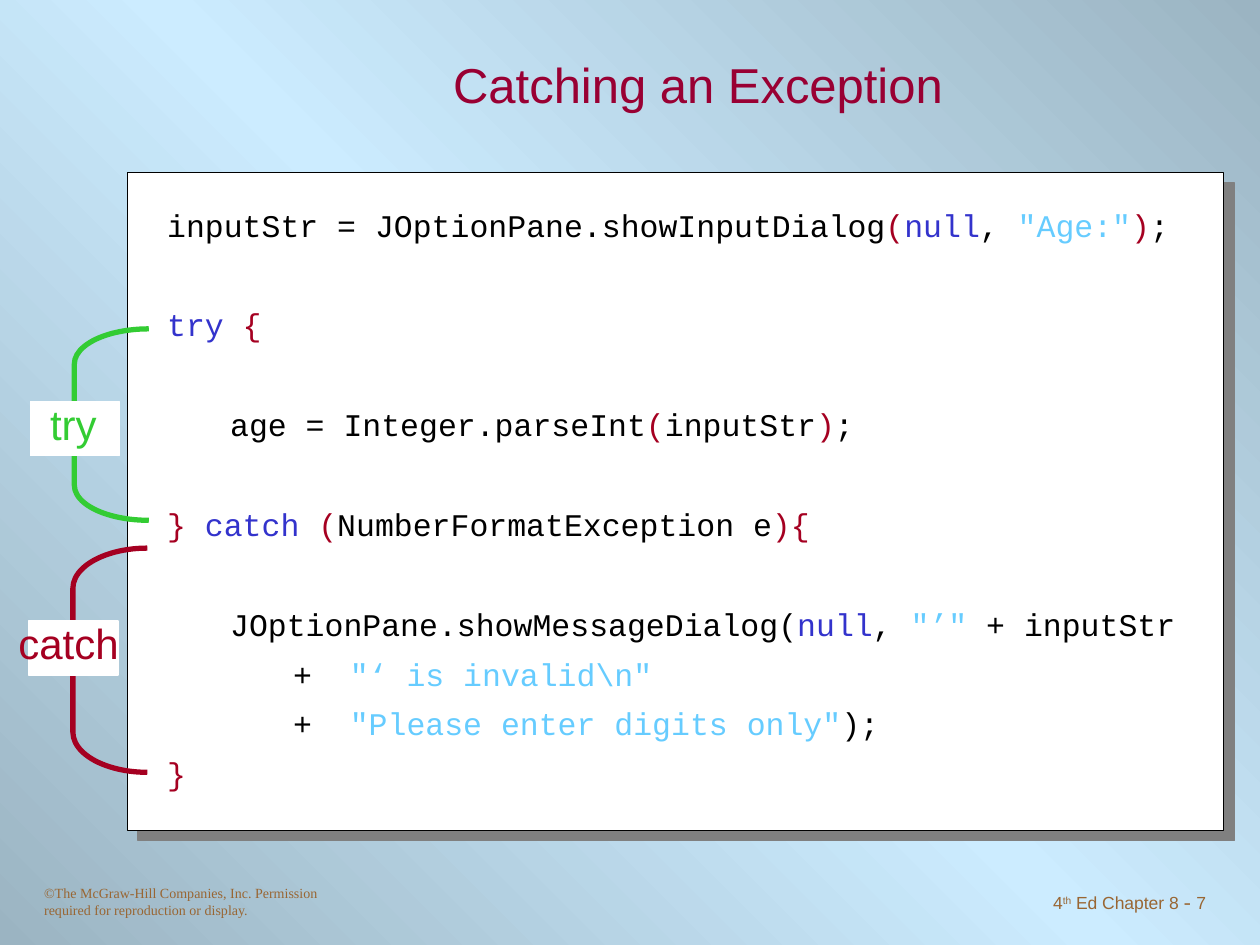
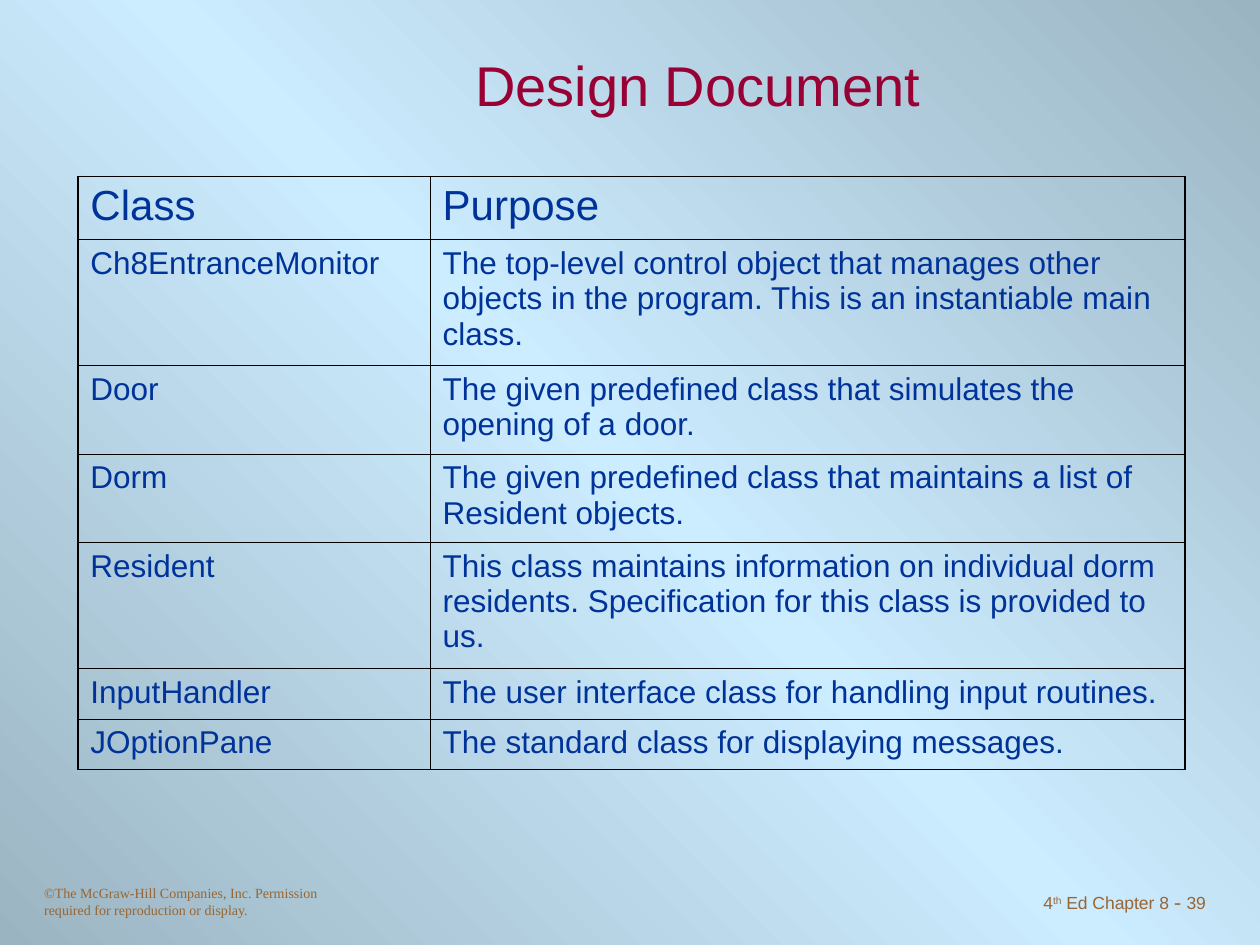
import copy

import pptx
import pptx.dml.color
import pptx.enum.shapes
import pptx.enum.text
import pptx.oxml
import pptx.oxml.ns
import pptx.util
from lxml import etree

Cm = pptx.util.Cm
Pt = pptx.util.Pt
qn = pptx.oxml.ns.qn
ALIGN = pptx.enum.text.PP_ALIGN
SHAPE = pptx.enum.shapes.MSO_SHAPE

COLORS = {
    "edge": "9BB4C2",
    "glow": "CCECFF",
    "title": "990033",
    "footer": "996633",
    "plain": "000000",
    "bracket": "A50021",
    "keyword": "3333CC",
    "string": "66CCFF",
    "try": "33CC33",
    "catch": "A50021",
    "cell": "003399",
    "panel": "FFFFFF",
    "shadow": "808080",
}

CODE = [
    (0, 1, [("inputStr = JOptionPane.showInputDialog", "plain"), ("(", "bracket"),
            ("null", "keyword"), (", ", "plain"), ('"Age:"', "string"),
            (")", "bracket"), (";", "plain")]),
    (0, 2, [("try ", "keyword"), ("{", "bracket")]),
    (1, 2, [("age = Integer.parseInt", "plain"), ("(", "bracket"),
            ("inputStr", "plain"), (")", "bracket"), (";", "plain")]),
    (0, 2, [("} ", "bracket"), ("catch ", "keyword"), ("(", "bracket"),
            ("NumberFormatException e", "plain"), ("){", "bracket")]),
    (1, 2, [("JOptionPane.showMessageDialog(", "plain"), ("null", "keyword"),
            (", ", "plain"), ('"’"', "string"), (" + inputStr", "plain")]),
    (2, 1, [("+  ", "plain"), ('"‘ is invalid\\n"', "string")]),
    (2, 1, [("+  ", "plain"), ('"Please enter digits only"', "string"), (");", "plain")]),
    (0, 1, [("}", "bracket")]),
]
LINE_PITCH = 28.57
LINE_HEIGHT = 17.4

CLASSES = [
    ("Class", "Purpose"),
    ("Ch8EntranceMonitor", "The top-level control object that manages other objects "
     "in the program. This is an instantiable main class."),
    ("Door", "The given predefined class that simulates the opening of a door."),
    ("Dorm", "The given predefined class that maintains a list of Resident objects."),
    ("Resident", "This class maintains information on individual dorm residents. "
     "Specification for this class is provided to us."),
    ("InputHandler", "The user interface class for handling input routines."),
    ("JOptionPane", "The standard class for displaying messages."),
]
COL_WIDTHS = [7.1, 15.22]
ROW_HEIGHTS = [1.27, 2.54, 1.78, 1.78, 2.54, 1.02, 1.02]


def rgb(name):
    return pptx.dml.color.RGBColor.from_string(COLORS[name])


def style(font, name, size, color):
    font.name = name
    font.size = Pt(size)
    font.color.rgb = rgb(color)


def add_run(p, text, name, size, color):
    r = p.add_run()
    r.text = text
    style(r.font, name, size, color)
    return r


def add_text(s, left, top, width, height, wrap=True):
    sp = s.shapes.add_textbox(Cm(left), Cm(top), Cm(width), Cm(height))
    sp.text_frame.word_wrap = wrap
    return sp.text_frame


def set_background(prs):
    master = prs.slide_master
    fill = master.background.fill
    fill.gradient()
    fill.gradient_angle = 45
    gs_list = master.element.find(".//" + qn("p:bg")).find(".//" + qn("a:gsLst"))
    gs_list.append(copy.deepcopy(gs_list[0]))
    stops = zip(fill.gradient_stops, (0, 0.5, 1), ("edge", "glow", "edge"))
    for stop, position, color in stops:
        stop.position = position
        stop.color.rgb = rgb(color)


def add_footer(s, page):
    p = add_text(s, 0.64, 17.71, 6.35, 0.91).paragraphs[0]
    add_run(p, "©The McGraw-Hill Companies, Inc. Permission required for "
            "reproduction or display.", "Times New Roman", 8, "footer")
    p = add_text(s, 19.05, 17.79, 5.51, 0.83).paragraphs[0]
    p.alignment = ALIGN.RIGHT
    add_run(p, "4", "Arial", 10, "footer")
    r = add_run(p, "th", "Arial", 10, "footer")
    r.font._element.set("baseline", "30000")
    add_run(p, " Ed Chapter 8", "Arial", 10, "footer")
    add_run(p, " - ", "Times New Roman", 12, "footer")
    add_run(p, str(page), "Arial", 10, "footer")


def add_slide(prs, title, size, page):
    s = prs.slides.add_slide(prs.slide_layouts[5])
    sp = s.shapes.title
    sp.left, sp.top, sp.width, sp.height = Cm(3.81), Cm(0.64), Cm(20.52), Cm(2.11)
    tf = sp.text_frame
    tf.text = title
    tf.vertical_anchor = pptx.enum.text.MSO_ANCHOR.MIDDLE
    tf.paragraphs[0].alignment = ALIGN.CENTER
    style(tf.paragraphs[0].runs[0].font, "Arial", size, "title")
    add_footer(s, page)
    return s


def add_box(s, left, top, width, height, line):
    sp = s.shapes.add_shape(SHAPE.RECTANGLE, Cm(left), Cm(top), Cm(width), Cm(height))
    sp.shadow.inherit = False
    sp.fill.solid()
    sp.fill.fore_color.rgb = rgb("panel")
    sp.line.color.rgb = rgb(line)
    sp.line.width = Pt(0.75)
    return sp


def add_drop_shadow(sp):
    effects = sp._element.spPr.find(qn("a:effectLst"))
    shadow = etree.SubElement(effects, qn("a:outerShdw"), dist=str(Pt(8.5)),
                              dir="2700000", algn="ctr", rotWithShape="0")
    etree.SubElement(shadow, qn("a:srgbClr"), val=COLORS["shadow"])


def add_code(s):
    add_drop_shadow(add_box(s, 2.57, 3.48, 22.1, 13.26, "plain"))
    tf = add_text(s, 3.12, 4.17, 21.3, 11.94)
    for i, (depth, lines_down, tokens) in enumerate(CODE):
        p = tf.add_paragraph() if i else tf.paragraphs[0]
        p._p.get_or_add_pPr().set("marL", str(Cm(1.27 * depth)))
        p.line_spacing = 0.8
        if i:
            p.space_before = Pt(round(lines_down * LINE_PITCH - LINE_HEIGHT, 1))
        for text, color in tokens:
            add_run(p, text, "Courier New", 18, color)


def add_block_bracket(s, label, left, top, height, corner, label_left, label_width):
    sp = s.shapes.add_shape(SHAPE.LEFT_BRACKET, Cm(left), Cm(top), Cm(1.5), Cm(height))
    sp.shadow.inherit = False
    sp.adjustments[0] = corner
    sp.fill.background()
    sp.line.color.rgb = rgb(label)
    sp.line.width = Pt(3)
    add_box(s, left - 0.89, top + 1.47, 1.8, 1.09, "panel")
    tf = add_text(s, label_left, top + 1.27, label_width, 1.27, wrap=False)
    add_run(tf.paragraphs[0], label, "Arial", 24, label)


def set_border(cell, side, width):
    tcPr = cell._tc.get_or_add_tcPr()
    ln = etree.SubElement(tcPr, qn("a:" + side), w=str(Pt(width)))
    fill = etree.SubElement(ln, qn("a:solidFill"))
    etree.SubElement(fill, qn("a:srgbClr"), val=COLORS["plain"])


def add_class_table(s):
    rows, cols = len(CLASSES), len(COL_WIDTHS)
    table = s.shapes.add_table(rows, cols, Cm(1.57), Cm(3.56), Cm(sum(COL_WIDTHS)),
                               Cm(sum(ROW_HEIGHTS))).table
    table.first_row = table.horz_banding = False
    for column, width in zip(table.columns, COL_WIDTHS):
        column.width = Cm(width)
    for i, (row, height) in enumerate(zip(table.rows, ROW_HEIGHTS)):
        row.height = Cm(height)
        for j, cell in enumerate(row.cells):
            cell.text = CLASSES[i][j]
            style(cell.text_frame.paragraphs[0].runs[0].font, "Arial",
                  18 if i else 24, "cell")
            outer = {"lnL": j == 0, "lnR": j == cols - 1,
                     "lnT": i == 0, "lnB": i == rows - 1}
            for side, is_outer in outer.items():
                set_border(cell, side, 1.08 if is_outer else 0.45)
            cell.fill.background()


def main():
    prs = pptx.Presentation()
    prs.slide_width, prs.slide_height = Cm(25.4), Cm(19.05)
    set_background(prs)

    s = add_slide(prs, "Catching an Exception", 28, 7)
    add_code(s)
    add_block_bracket(s, "try", 1.5, 6.63, 3.86, 0.47, 0.76, 1.5)
    add_block_bracket(s, "catch", 1.47, 11.05, 4.52, 0.54, 0.12, 2.7)

    s = add_slide(prs, "Design Document", 32, 39)
    add_class_table(s)

    prs.save("out.pptx")


if __name__ == "__main__":
    main()
